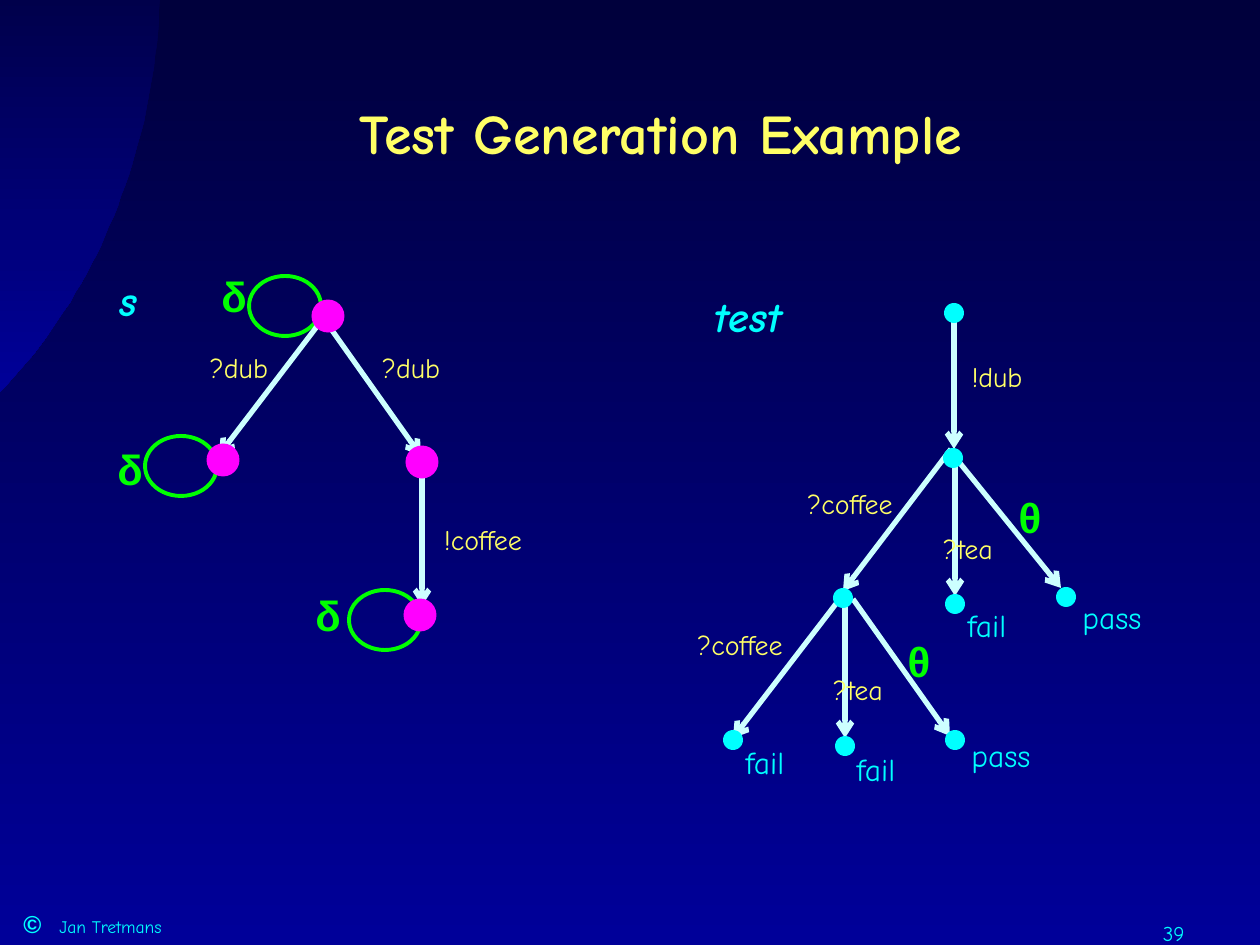
from dataclasses import dataclass

from pptx import Presentation
from pptx.dml.color import RGBColor
from pptx.enum.shapes import MSO_CONNECTOR, MSO_SHAPE
from pptx.enum.text import MSO_ANCHOR, PP_ALIGN
from pptx.oxml.ns import qn
from pptx.oxml.xmlchemy import OxmlElement
from pptx.util import Pt

SCALE = 914400 / 126

NAVY = RGBColor(0x00, 0x00, 0x3C)
DARK_BLUE = RGBColor(0x00, 0x00, 0x47)
BLUE = RGBColor(0x00, 0x00, 0x99)
CYAN = RGBColor(0x00, 0xFF, 0xFF)
PALE_CYAN = RGBColor(0xCC, 0xFF, 0xFF)
MAGENTA = RGBColor(0xFF, 0x00, 0xFF)
GREEN = RGBColor(0x00, 0xFF, 0x00)
YELLOW = RGBColor(0xFF, 0xFF, 0x66)


@dataclass(frozen=True)
class Style:
    """Hold the look of one kind of text."""

    size: int
    color: RGBColor
    font: str = "Comic Neue"
    bold: bool = False
    italic: bool = False
    spacing: float = 1.0


TITLE = Style(32, YELLOW, bold=True)
HEADING = Style(24, CYAN, bold=True, italic=True, spacing=1.2)
ACTION = Style(16, YELLOW, spacing=1.2)
VERDICT = Style(18, CYAN)
DELTA = Style(24, GREEN, font="Arial", bold=True)
THETA = Style(24, GREEN, font="Arial", bold=True, spacing=1.2)
AUTHOR = Style(10, CYAN)
COPYRIGHT = Style(14, CYAN, font="Arial", bold=True)
PAGE_NUMBER = Style(12, CYAN)

LOOPS = [(249, 276), (145, 436), (349, 590)]
SPECIFICATION_EDGES = [
    (324, 319, 421, 456), (328, 312, 219, 455), (422, 471, 422, 606),
]
TEST_EDGES = [
    (954, 315, 954, 449),
    (955, 457, 1061, 588), (955, 462, 955, 596), (951, 449, 843, 591),
    (853, 599, 950, 736), (845, 604, 845, 738), (842, 596, 733, 738),
]
SPECIFICATION_STATES = [(328, 316), (223, 460), (422, 462), (420, 615)]
TEST_STATES = [
    (954, 313), (953, 458),
    (843, 598), (955, 604), (1066, 597),
    (733, 740), (845, 746), (955, 740),
]
LABELS = [
    (TITLE, "Test Generation Example", [(661, 132)]),
    (HEADING, "s", [(128, 295)]),
    (HEADING, "test", [(748, 311)]),
    (DELTA, "δ", [(234, 296), (130, 469), (328, 615)]),
    (THETA, "θ", [(1030, 512), (919, 656)]),
    (ACTION, "?dub", [(239, 364), (411, 364)]),
    (ACTION, "!dub", [(997, 373)]),
    (ACTION, "!coffee", [(483, 536)]),
    (ACTION, "?coffee", [(850, 500), (740, 641)]),
    (ACTION, "?tea", [(968, 545), (858, 686)]),
    (VERDICT, "fail", [(987, 625), (765, 762), (876, 769)]),
    (VERDICT, "pass", [(1112, 617), (1001, 755)]),
]


def px(*lengths):
    """Turn pixel lengths into a list of EMU."""
    return [round(length * SCALE) for length in lengths]


def set_gradient(fill, top, bottom):
    """Fill from a top colour down to a bottom colour."""
    fill.gradient()
    fill.gradient_angle = 270
    for stop, color in zip(fill.gradient_stops, (top, bottom)):
        stop.color.rgb = color


def set_font(font, style):
    """Apply a text style to a font."""
    font.name, font.size = style.font, Pt(style.size)
    font.bold, font.italic = style.bold, style.italic
    font.color.rgb = style.color


def add_corner_disc(slide):
    """Draw the large rounded area in the top left corner."""
    controls = [(-1, 393), (96, 295), (154, 151), (160, -1)]
    steps = 40
    curve = []
    for step in range(steps + 1):
        t = step / steps
        weights = ((1 - t) ** 3, 3 * t * (1 - t) ** 2, 3 * t * t * (1 - t), t ** 3)
        curve.append(tuple(
            sum(weight * point[axis] for weight, point in zip(weights, controls))
            for axis in (0, 1)
        ))
    builder = slide.shapes.build_freeform(*curve[0], scale=SCALE)
    builder.add_line_segments(curve[1:] + [(-295, -25)], close=True)
    disc = builder.convert_to_shape()
    disc.shadow.inherit = False
    disc.line.fill.background()
    set_gradient(disc.fill, DARK_BLUE, BLUE)


def add_loop(slide, left, top):
    """Draw an outlined self-loop."""
    loop = slide.shapes.add_shape(MSO_SHAPE.OVAL, *px(left, top, 72, 60))
    loop.shadow.inherit = False
    loop.fill.background()
    loop.line.color.rgb = GREEN
    loop.line.width = Pt(2.25)


def add_edge(slide, *ends):
    """Draw an arrow between two points."""
    edge = slide.shapes.add_connector(MSO_CONNECTOR.STRAIGHT, *px(*ends))
    edge.line.color.rgb = PALE_CYAN
    edge.line.width = Pt(3)
    properties = edge._element.spPr
    arrowhead = OxmlElement("a:tailEnd")
    arrowhead.set("type", "arrow")
    properties.find(qn("a:ln")).append(arrowhead)
    properties.append(OxmlElement("a:effectLst"))


def add_state(slide, center_x, center_y, size, color):
    """Draw a filled state dot around its centre."""
    corner = px(center_x - size / 2, center_y - size / 2)
    state = slide.shapes.add_shape(
        MSO_SHAPE.FLOWCHART_CONNECTOR, *corner, *px(size, size))
    state.shadow.inherit = False
    state.fill.solid()
    state.fill.fore_color.rgb = color
    state.line.fill.background()


def add_label(slide, text, style, center_x, center_y):
    """Place one line of text around its centre."""
    width, height = len(text) * style.size + 30, style.size * 3
    box = slide.shapes.add_textbox(
        *px(center_x - width / 2, center_y - height / 2, width, height))
    box.text_frame.word_wrap = False
    box.text_frame.vertical_anchor = MSO_ANCHOR.MIDDLE
    para = box.text_frame.paragraphs[0]
    para.text = text
    para.alignment = PP_ALIGN.CENTER
    para.line_spacing = style.spacing
    set_font(para.font, style)


def add_footer(slide):
    """Add the copyright line and the page number."""
    box = slide.shapes.add_textbox(*px(11, 903, 618, 42))
    box.text_frame.word_wrap = True
    para = box.text_frame.paragraphs[0]
    tabs = OxmlElement("a:tabLst")
    tab = OxmlElement("a:tab")
    tab.set("pos", str(px(36)[0]))
    tab.set("algn", "l")
    tabs.append(tab)
    para._p.get_or_add_pPr().append(tabs)
    for text, style in (("©", COPYRIGHT), ("\tJan Tretmans", AUTHOR)):
        span = para.add_run()
        span.text = text
        set_font(span.font, style)

    page = slide.shapes.add_textbox(*px(1081, 914, 116, 31))
    page.text_frame.word_wrap = True
    number = page.text_frame.paragraphs[0]
    number.text = "39"
    number.alignment = PP_ALIGN.RIGHT
    set_font(number.font, PAGE_NUMBER)


def main():
    """Build the slide and save the deck."""
    deck = Presentation()
    deck.slide_width, deck.slide_height = px(1260, 945)
    slide = deck.slides.add_slide(deck.slide_layouts[6])
    set_gradient(slide.background.fill, NAVY, BLUE)
    add_corner_disc(slide)
    add_footer(slide)
    for corner in LOOPS:
        add_loop(slide, *corner)
    for ends in SPECIFICATION_EDGES + TEST_EDGES:
        add_edge(slide, *ends)
    for center in SPECIFICATION_STATES:
        add_state(slide, *center, 33, MAGENTA)
    for center in TEST_STATES:
        add_state(slide, *center, 20, CYAN)
    for style, text, centers in LABELS:
        for center in centers:
            add_label(slide, text, style, *center)
    deck.save("out.pptx")


if __name__ == "__main__":
    main()
